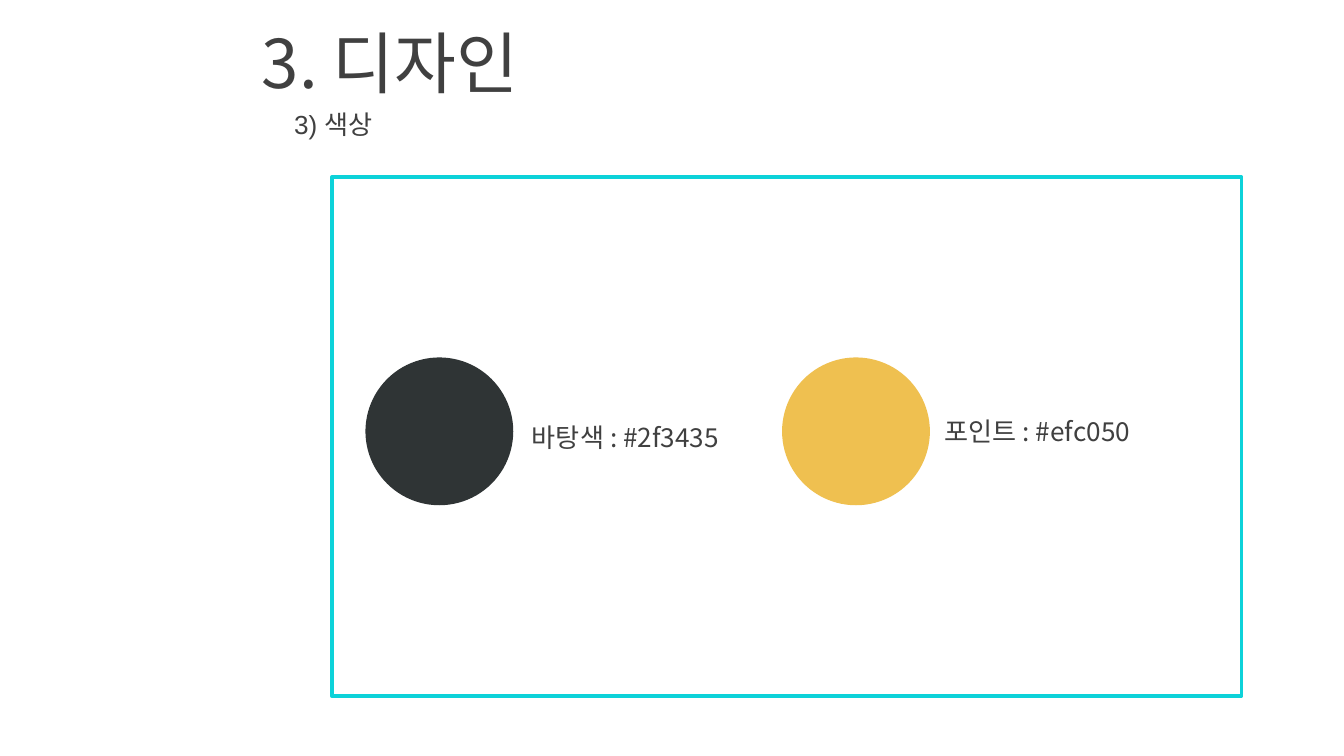
"""Build the colour page of a design presentation."""
import lxml.etree
import pptx
import pptx.dml.color
import pptx.enum.shapes
import pptx.enum.text
import pptx.oxml.ns
import pptx.util
from pptx.util import Pt

THEME = {
    "text": "404040", "frame": "0DD2D9",
    "korean": "Noto Sans CJK KR", "latin": "Arial",
    "title": 36, "body": 14, "line": 2,
}
HEADINGS = [
    ("3. 디자인", (133.2, 10.1, 586.8, 45.4), THEME["title"], THEME["korean"]),
    ("3) 색상", (150.5, 56.2, 586.8, 20.9), THEME["body"], THEME["latin"]),
]
FRAME = (177.8, 95, 487.4, 277.9)
SWATCHES = [
    ("바탕색 : #2f3435", "2F3435", 195.8, 277.9, 221.8),
    ("포인트 : #efc050", "EFC050", 419, 499, 218.9),
]
SWATCH_TOP, SWATCH_SIZE = 191.5, 79.2
LABEL_WIDTH, LABEL_HEIGHT = 141.8, 24.5


def rgb(value):
    return pptx.dml.color.RGBColor.from_string(value)


def add_text(slide, text, *, box, size, font, space_before=0):
    shape = slide.shapes.add_textbox(*map(Pt, box))
    frame = shape.text_frame
    frame.word_wrap = True
    frame.vertical_anchor = pptx.enum.text.MSO_ANCHOR.MIDDLE
    paragraph = frame.paragraphs[0]
    paragraph.space_before = Pt(space_before)
    run = paragraph.add_run()
    run.text = text
    run.font.size = Pt(size)
    run.font.name = font
    run.font.color.rgb = rgb(THEME["text"])
    east_asian = lxml.etree.SubElement(
        run._r.get_or_add_rPr(), pptx.oxml.ns.qn("a:ea"))
    east_asian.set("typeface", THEME["korean"])


def add_outline(slide, kind, box, *, fill=None, line=None):
    shape = slide.shapes.add_shape(kind, *map(Pt, box))
    shape.shadow.inherit = False
    if fill:
        shape.fill.solid()
        shape.fill.fore_color.rgb = rgb(fill)
    else:
        shape.fill.background()
    if line:
        shape.line.color.rgb = rgb(line)
        shape.line.width = Pt(THEME["line"])
    else:
        shape.line.fill.background()


def main():
    presentation = pptx.Presentation()
    presentation.slide_width, presentation.slide_height = Pt(720), Pt(405)
    slide = presentation.slides.add_slide(presentation.slide_layouts[6])
    kinds = pptx.enum.shapes.MSO_SHAPE

    add_outline(slide, kinds.RECTANGLE, FRAME, line=THEME["frame"])
    for text, box, size, font in HEADINGS:
        add_text(slide, text, box=box, size=size, font=font,
                 space_before=size * 0.2)
    for text, color, left, label_left, label_top in SWATCHES:
        add_outline(slide, kinds.OVAL,
                    (left, SWATCH_TOP, SWATCH_SIZE, SWATCH_SIZE), fill=color)
        add_text(slide, text, size=THEME["body"], font=THEME["korean"],
                 box=(label_left, label_top, LABEL_WIDTH, LABEL_HEIGHT))
    presentation.save("out.pptx")


if __name__ == "__main__":
    main()
